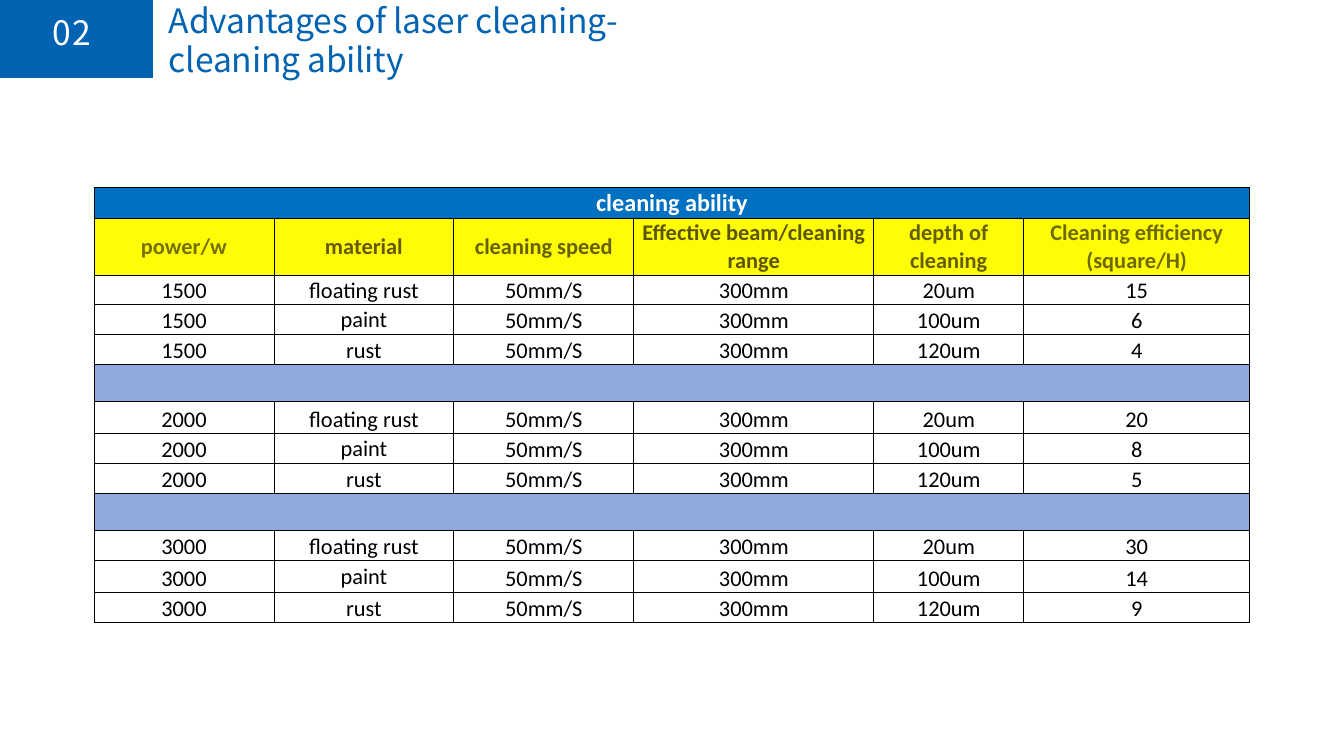
from lxml import etree
from pptx import Presentation
from pptx import util as u
from pptx.dml.color import RGBColor
from pptx.enum import shapes, text
from pptx.oxml.ns import qn

PX = 914400 / 134.4
COLORS = {
    "brand": "0263B2", "banner": "0070C0", "header": "FEFD05",
    "divider": "8EA9DB", "white": "FFFFFF", "black": "000000",
}
HEADINGS = [
    ("power/w", "757100"), ("material", "655800"), ("cleaning speed", "676000"),
    ("Effective beam/cleaning range", "5C5600"), ("depth of cleaning", "655E00"),
    ("Cleaning efficiency (square/H)", "6D6900"),
]
MATERIALS = [("floating rust", "20um"), ("paint", "100um"), ("rust", "120um")]
EFFICIENCY = {"1500": ("15", "6", "4"), "2000": ("20", "8", "5"), "3000": ("30", "14", "9")}
COLUMNS = [180, 180, 180, 240, 150, 226]
ROWS = [31, 57, 30, 30, 30, 37, 32, 30, 30, 37, 30, 32, 30]


def px(length):
    """Turn px into EMU."""
    return u.Emu(round(length * PX))


def rgb(color):
    """Turn a hex string into a colour."""
    return RGBColor.from_string(color)


def add_run(paragraph, words, size, color, font="Calibri", bold=False, spacing=None):
    """Append one styled run to a paragraph."""
    run = paragraph.add_run()
    run.text = words
    run.font.size = u.Pt(size)
    run.font.name = font
    run.font.bold = bold
    run.font.color.rgb = rgb(color)
    if spacing is not None:
        properties = run.font._element
        properties.set("spc", str(spacing))
        etree.SubElement(properties, qn("a:ea")).set("typeface", font)


def fill_heading(shape, words, color, left, top, leading, spacing):
    """Write a heading from the given offset inside its shape."""
    frame = shape.text_frame
    frame.word_wrap = True
    frame.vertical_anchor = text.MSO_ANCHOR.TOP
    frame.margin_left, frame.margin_top = px(left), px(top)
    frame.margin_right = frame.margin_bottom = 0
    paragraph = frame.paragraphs[0]
    paragraph.alignment = text.PP_ALIGN.LEFT
    paragraph.line_spacing = leading
    add_run(paragraph, words, 18, color, "Noto Sans CJK SC", spacing=spacing)


def add_header(slide, left, top, height):
    """Place the section number and the slide title."""
    badge = slide.shapes.add_shape(
        shapes.MSO_SHAPE.RECTANGLE, px(left), px(top), px(153), px(height))
    badge.shadow.inherit = False
    badge.fill.solid()
    badge.fill.fore_color.rgb = rgb(COLORS["brand"])
    badge.line.fill.background()
    fill_heading(badge, "02", COLORS["white"], 53, 18, 0.84, 30)
    title = slide.shapes.add_textbox(px(left + 168), px(top), px(525), px(height))
    fill_heading(title, "Advantages of laser cleaning-cleaning ability",
                 COLORS["brand"], 1, 2, 0.97, -10)


def style_cell(cell, fill=None):
    """Give a cell its margins, borders, fill and alignment."""
    cell.margin_left = cell.margin_right = cell.margin_top = px(1)
    cell.margin_bottom = 0
    cell.vertical_anchor = text.MSO_ANCHOR.MIDDLE
    properties = cell._tc.get_or_add_tcPr()
    for side in ("lnL", "lnR", "lnT", "lnB"):
        border = etree.SubElement(properties, qn(f"a:{side}"), w=str(u.Pt(0.5)))
        solid = etree.SubElement(border, qn("a:solidFill"))
        etree.SubElement(solid, qn("a:srgbClr"), val=COLORS["black"])
    if fill:
        cell.fill.solid()
        cell.fill.fore_color.rgb = rgb(fill)
    else:
        cell.fill.background()
    paragraph = cell.text_frame.paragraphs[0]
    paragraph.alignment = text.PP_ALIGN.CENTER
    etree.SubElement(paragraph._p, qn("a:endParaRPr"), sz="1200")
    return paragraph


def add_band(table, row, fill):
    """Merge a row into one coloured band and return its paragraph."""
    paragraphs = [style_cell(cell, fill) for cell in table.rows[row].cells]
    table.cell(row, 0).merge(table.cell(row, len(COLUMNS) - 1))
    return paragraphs[0]


def add_ability_table(slide, left, top):
    """Place the table of cleaning ability by power and material."""
    table = slide.shapes.add_table(
        len(ROWS), len(COLUMNS), px(left), px(top), px(sum(COLUMNS)), px(sum(ROWS))).table
    table.first_row = table.horz_banding = False
    for column, width in zip(table.columns, COLUMNS):
        column.width = px(width)
    for row, height in zip(table.rows, ROWS):
        row.height = px(height)

    banner = add_band(table, 0, COLORS["banner"])
    add_run(banner, "cleaning ability", 13, COLORS["white"], bold=True)
    for cell, (heading, color) in zip(table.rows[1].cells, HEADINGS):
        add_run(style_cell(cell, COLORS["header"]), heading, 12, color, bold=True)

    for group, (power, rates) in enumerate(EFFICIENCY.items()):
        start = 2 + group * (len(MATERIALS) + 1)
        if group:
            add_band(table, start - 1, COLORS["divider"])
        for offset, ((material, depth), rate) in enumerate(zip(MATERIALS, rates)):
            values = (power, material, "50mm/S", "300mm", depth, rate)
            for cell, value in zip(table.rows[start + offset].cells, values):
                add_run(style_cell(cell), value, 12, COLORS["black"])
                if value != "paint":
                    cell.vertical_anchor = text.MSO_ANCHOR.BOTTOM


def main():
    """Build and save the slide."""
    deck = Presentation()
    deck.slide_width, deck.slide_height = px(1344), px(756)
    slide = deck.slides.add_slide(deck.slide_layouts[6])
    add_header(slide, 0, 0, 78)
    add_ability_table(slide, 94, 187)
    deck.save("out.pptx")


if __name__ == "__main__":
    main()
